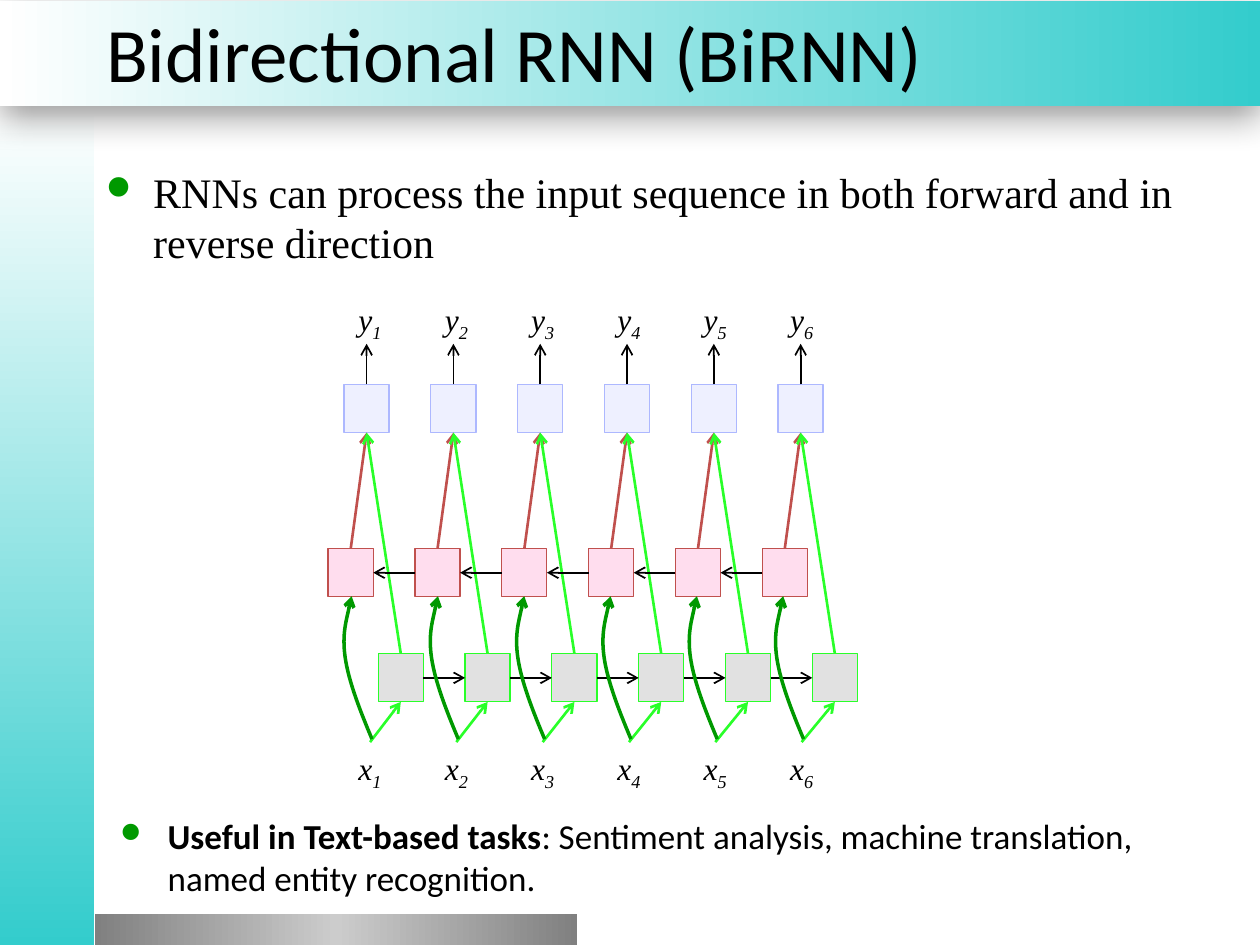
import dataclasses

import lxml.etree
import pptx
import pptx.enum.shapes
import pptx.enum.text
import pptx.oxml.ns
from pptx.dml.color import RGBColor
from pptx.util import Cm, Pt

qn = pptx.oxml.ns.qn


@dataclasses.dataclass(frozen=True)
class Theme:
    sans: str = "Calibri"
    serif: str = "Times New Roman"
    bullet_font: str = "Wingdings"
    title_size: int = 44
    lead_size: int = 24
    note_size: int = 20
    label_size: int = 18
    text: str = "000000"
    white: str = "FFFFFF"
    teal: str = "33CCCC"
    dark_gray: str = "808080"
    light_gray: str = "CCCCCC"
    green: str = "009900"
    forward: str = "29FF29"
    forward_fill: str = "A6A6A6"
    backward: str = "C0504D"
    backward_fill: str = "FF99CC"
    output: str = "ADB8FF"
    output_fill: str = "CED4FF"


theme = Theme()


def add_text(text, left, top, width, height, *, size, font, lead="", subscript="",
             italic=False, bullet=False, centered=False, middle=False):
    """Add a one-paragraph text box; lead is a bold opening, subscript a lowered ending."""
    box = slide.shapes.add_textbox(Cm(left), Cm(top), Cm(width), Cm(height))
    frame = box.text_frame
    frame.word_wrap = not centered
    if middle:
        frame.vertical_anchor = pptx.enum.text.MSO_ANCHOR.MIDDLE
    paragraph = frame.paragraphs[0]
    if centered:
        paragraph.alignment = pptx.enum.text.PP_ALIGN.CENTER
    if bullet:
        properties = paragraph._p.get_or_add_pPr()
        properties.set("marL", str(Cm(0.95)))
        properties.set("indent", str(-Cm(0.95)))
        bullet_color = lxml.etree.SubElement(properties, qn("a:buClr"))
        lxml.etree.SubElement(bullet_color, qn("a:srgbClr"), val=theme.green)
        lxml.etree.SubElement(properties, qn("a:buSzPct"), val="80000")
        lxml.etree.SubElement(properties, qn("a:buFont"), typeface=theme.bullet_font)
        # "l" is the round bullet in this symbol font
        lxml.etree.SubElement(properties, qn("a:buChar"), char="l")
    for part in filter(None, (lead, text, subscript)):
        run = paragraph.add_run()
        run.text = part
        run.font.name = font
        run.font.size = Pt(size)
        run.font.italic = italic
        run.font.bold = part == lead
        run.font.color.rgb = RGBColor.from_string(theme.text)
        if part == subscript:
            run._r.get_or_add_rPr().set("baseline", "-25000")


def style_arrow(shape, color, width):
    """Colour an open line, put an arrowhead at its end and remove its shadow."""
    shape.line.color.rgb = RGBColor.from_string(color)
    shape.line.width = Pt(width)
    properties = shape._element.spPr
    lxml.etree.SubElement(properties.find(qn("a:ln")), qn("a:tailEnd"), type="arrow")
    lxml.etree.SubElement(properties, qn("a:effectLst"))


presentation = pptx.Presentation()
presentation.slide_width = Cm(25.4)
presentation.slide_height = Cm(19.05)
slide = presentation.slides.add_slide(presentation.slide_layouts[6])
rectangle = pptx.enum.shapes.MSO_SHAPE.RECTANGLE
straight = pptx.enum.shapes.MSO_CONNECTOR.STRAIGHT

# Background panels: left, top, width, height, gradient angle, colours, shadow
panels = [
    (0, 2.18, 1.9, 16.87, 270, [theme.white, theme.teal], False),
    (0, 0.03, 25.4, 2.1, 0, [theme.white, theme.teal], True),
    (1.91, 18.42, 9.73, 0.63, 0, [theme.dark_gray, theme.light_gray, theme.dark_gray], False),
]
for left, top, width, height, angle, colors, shadowed in panels:
    panel = slide.shapes.add_shape(rectangle, Cm(left), Cm(top), Cm(width), Cm(height))
    panel.shadow.inherit = False
    panel.line.fill.background()
    panel.fill.gradient()
    panel.fill.gradient_angle = angle
    stops = panel._element.spPr.find(qn("a:gradFill")).find(qn("a:gsLst"))
    for stop in list(stops):
        stops.remove(stop)
    for index, color in enumerate(colors):
        position = 100000 * index // (len(colors) - 1)
        stop = lxml.etree.SubElement(stops, qn("a:gs"), pos=str(position))
        lxml.etree.SubElement(stop, qn("a:srgbClr"), val=color)
    if shadowed:
        effects = panel._element.spPr.find(qn("a:effectLst"))
        shadow = lxml.etree.SubElement(effects, qn("a:outerShdw"), blurRad=str(Pt(20)),
                                       dist=str(Pt(6)), dir="5400000", rotWithShape="0")
        shadow_color = lxml.etree.SubElement(shadow, qn("a:srgbClr"), val=theme.text)
        lxml.etree.SubElement(shadow_color, qn("a:alpha"), val="40000")

add_text("Bidirectional RNN (BiRNN)", 1.89, 0, 23.51, 2.1,
         size=theme.title_size, font=theme.sans, middle=True)
add_text("RNNs can process the input sequence in both forward and in reverse direction",
         1.89, 3.23, 22.89, 2.72, size=theme.lead_size, font=theme.serif, bullet=True)

# Network: one column per time step, x measured from the centre of the output cell
steps = 6
pitch = 1.75
label_pitch = 1.74
first_center = 7.39
first_label = 7.46
cell_width, cell_height = 0.91, 0.97
forward_shift, backward_shift = 0.69, -0.32
output_top, backward_top, forward_top = 7.75, 11.06, 13.18
output_bottom = output_top + cell_height
forward_bottom = forward_top + cell_height
forward_middle = forward_top + cell_height / 2
backward_middle = backward_top + cell_height / 2
input_y = 14.96
centers = [first_center + pitch * step for step in range(steps)]
label_centers = [first_label + label_pitch * step for step in range(steps)]

cell_rows = [
    (forward_shift, forward_top, theme.forward_fill, theme.forward),
    (0, output_top, theme.output_fill, theme.output),
    (backward_shift, backward_top, theme.backward_fill, theme.backward),
]
for shift, top, fill_color, line_color in cell_rows:
    for center in centers:
        cell = slide.shapes.add_shape(rectangle, Cm(center + shift - cell_width / 2), Cm(top),
                                      Cm(cell_width), Cm(cell_height))
        cell.shadow.inherit = False
        cell.fill.solid()
        cell.fill.fore_color.rgb = RGBColor.from_string(fill_color)
        fill = cell._element.spPr.find(qn("a:solidFill"))
        lxml.etree.SubElement(fill[0], qn("a:alpha"), val="33000")
        cell.line.color.rgb = RGBColor.from_string(line_color)
        cell.line.width = Pt(0.75)

# Arrows: start x, start y, end x, end y, colour, width
half = cell_width / 2
arrows = []
for center, label_center in zip(centers, label_centers):
    forward_x, backward_x = center + forward_shift, center + backward_shift
    arrows += [
        (center, output_top, center, 6.93, theme.text, 1),
        (backward_x, backward_top, center, output_bottom, theme.backward, 1.5),
        (label_center, input_y, forward_x, forward_bottom, theme.forward, 1.5),
        (forward_x, forward_top, center, output_bottom, theme.forward, 1.5),
    ]
for center, following in zip(centers, centers[1:]):
    arrows += [
        (center + forward_shift + half, forward_middle,
         following + forward_shift - half, forward_middle, theme.text, 1),
        (following + backward_shift - half, backward_middle,
         center + backward_shift + half, backward_middle, theme.text, 1),
    ]
for start_x, start_y, end_x, end_y, color, width in arrows:
    arrow = slide.shapes.add_connector(straight, Cm(start_x), Cm(start_y), Cm(end_x), Cm(end_y))
    style_arrow(arrow, color, width)

# Curved arrows from the inputs to the backward cells: a start and two cubic pieces
curve = [(0.04, 14.9), (-0.2, 14.33), (-0.43, 13.74), (-0.5, 13.26),
         (-0.57, 12.78), (-0.37, 12.02), (-0.37, 12.02)]
for label_center in label_centers:
    points = [(Cm(label_center + x), Cm(y)) for x, y in curve]
    builder = slide.shapes.build_freeform(*points[0])
    builder.add_line_segments(points[1:], close=False)
    curved_arrow = builder.convert_to_shape()
    lines = list(curved_arrow._element.iter(qn("a:lnTo")))
    outline = lines[0].getparent()
    for first in range(0, len(lines), 3):
        cubic = lxml.etree.SubElement(outline, qn("a:cubicBezTo"))
        for line in lines[first:first + 3]:
            cubic.append(line[0])
            outline.remove(line)
    curved_arrow.fill.background()
    style_arrow(curved_arrow, theme.green, 2)

for letter, top in (("y", 5.92), ("x", 14.97)):
    for step, label_center in enumerate(label_centers, 1):
        add_text(letter, label_center - 0.52, top, 1.04, 1.02, size=theme.label_size,
                 font=theme.serif, subscript=str(step), italic=True, centered=True)

add_text(": Sentiment analysis, machine translation, named entity recognition.",
         2.18, 16.3, 22.89, 1.5, size=theme.note_size, font=theme.sans,
         lead="Useful in Text-based tasks", bullet=True)

presentation.save("out.pptx")
